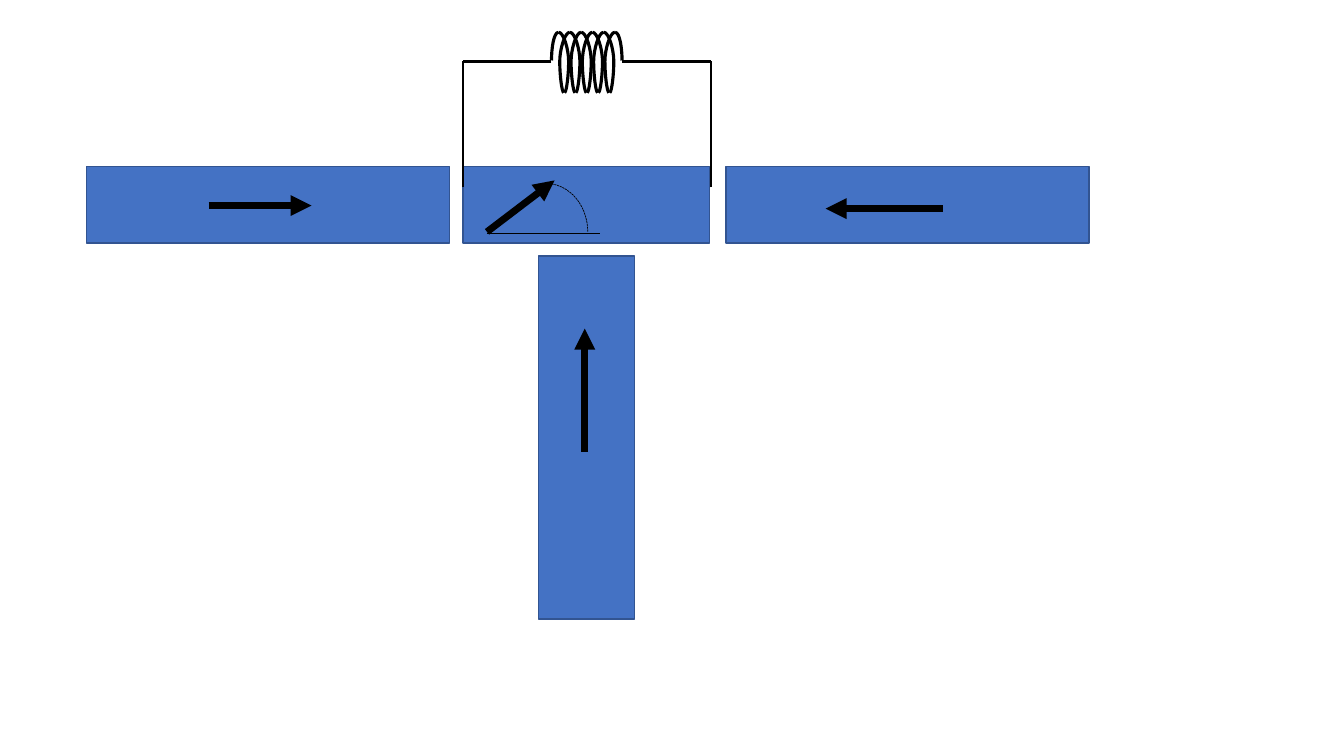
from dataclasses import dataclass

from lxml import etree
from pptx import Presentation
from pptx.dml.color import RGBColor
from pptx.enum.dml import MSO_LINE_DASH_STYLE as Dash
from pptx.enum.shapes import MSO_CONNECTOR as Connector, MSO_SHAPE as Preset
from pptx.oxml.ns import qn
from pptx.util import Inches, Pt


@dataclass(frozen=True)
class Theme:
    bar_fill: RGBColor = RGBColor(0x44, 0x72, 0xC4)
    bar_outline: RGBColor = RGBColor(0x32, 0x54, 0x91)
    ink: RGBColor = RGBColor(0, 0, 0)
    hairline: float = 0.5
    outline: float = 1
    wire: float = 1.5
    coil: float = 2.25
    arrow: float = 5


THEME = Theme()
COIL_LOOPS = 5
STRAND_POINTS = [
    (0, 0), (0.05, 0), (0.1, 0.17), (0.1, 0.29),
    (0.1, 0.42), (0.08, 0.59), (0.06, 0.6),
]
END_POINTS = [(0, 0), (0.05, 0), (0.07, 0.17), (0.07, 0.28)]


def style_line(line, width, color=THEME.ink):
    line.color.rgb = color
    line.width = Pt(width)


def add_line(shapes, start, end, width, arrow=False):
    connector = shapes.add_connector(
        Connector.STRAIGHT, *(Inches(value) for value in (*start, *end))
    )
    style_line(connector.line, width)
    properties = connector._element.spPr
    if arrow:
        outline = properties.find(qn("a:ln"))
        etree.SubElement(outline, qn("a:tailEnd"), type="triangle")
    etree.SubElement(properties, qn("a:effectLst"))


def add_bar(shapes, left, top, width, height, upright=False):
    if upright:
        left, top = left + (width - height) / 2, top + (height - width) / 2
        width, height = height, width
    bar = shapes.add_shape(
        Preset.RECTANGLE, Inches(left), Inches(top), Inches(width), Inches(height)
    )
    bar.rotation = 90 if upright else 0
    bar.shadow.inherit = False
    bar.fill.solid()
    bar.fill.fore_color.rgb = THEME.bar_fill
    style_line(bar.line, THEME.outline, THEME.bar_outline)


def add_arrow_bar(shapes, box, arrow_start, arrow_end, upright=False):
    left, top, width, height = box
    add_bar(shapes, left, top, width, height, upright)
    start, end = ((left + x, top + y) for x, y in (arrow_start, arrow_end))
    add_line(shapes, start, end, THEME.arrow, arrow=True)


def add_angle_bar(shapes, left, top, width, height):
    add_bar(shapes, left, top, width, height)
    vertex_x = left + 0.24
    add_line(shapes, (vertex_x, top + 0.65), (left + 0.91, top + 0.14),
             THEME.arrow, arrow=True)
    add_line(shapes, (vertex_x, top + 0.67), (left + 1.36, top + 0.67),
             THEME.hairline)
    arc = shapes.add_shape(
        Preset.ARC, Inches(left + 0.41), Inches(top + 0.17), Inches(0.83), Inches(0.96)
    )
    arc.shadow.inherit = False
    arc.fill.background()
    style_line(arc.line, THEME.hairline)
    arc.line.dash_style = Dash.SQUARE_DOT


def curve_segments(shape):
    segments = list(shape._element.iter(qn("a:lnTo")))
    for index in range(0, len(segments), 3):
        curve = etree.Element(qn("a:cubicBezTo"))
        segments[index].addprevious(curve)
        for segment in segments[index:index + 3]:
            curve.append(segment[0])
            segment.getparent().remove(segment)


def add_strand(shapes, left, top, points, direction):
    first, *rest = [
        (Inches(left + direction * x), Inches(top + y)) for x, y in points
    ]
    builder = shapes.build_freeform(*first)
    builder.add_line_segments(rest, close=False)
    strand = builder.convert_to_shape()
    curve_segments(strand)
    strand.shadow.inherit = False
    strand.fill.background()
    style_line(strand.line, THEME.coil)


def add_coil(shapes, left, top, width):
    end_width = END_POINTS[-1][0]
    first, last = left + end_width, left + width - end_width
    pitch = (last - first) / COIL_LOOPS
    add_strand(shapes, first, top, END_POINTS, -1)
    for loop in range(COIL_LOOPS):
        crest = first + loop * pitch
        add_strand(shapes, crest, top, STRAND_POINTS, 1)
        add_strand(shapes, crest + pitch, top, STRAND_POINTS, -1)
    add_strand(shapes, last, top, END_POINTS, 1)


def add_circuit(shapes, left, top, width, height):
    coil_left, coil_width = left + 0.88, 0.7
    right, bottom, wire_y = left + width, top + height, top + 0.29
    for x, coil_x in ((left, coil_left), (right, coil_left + coil_width)):
        add_line(shapes, (x, bottom), (x, wire_y), THEME.wire)
        add_line(shapes, (coil_x, wire_y), (x, wire_y), THEME.wire)
    add_coil(shapes, coil_left, top, coil_width)


def build_slide(presentation):
    slide = presentation.slides.add_slide(presentation.slide_layouts[6])
    shapes = slide.shapes.add_group_shape().shapes
    add_arrow_bar(shapes, (0.86, 1.65, 3.6, 0.76), (1.21, 0.39), (2.23, 0.39))
    add_arrow_bar(shapes, (7.2, 1.65, 3.6, 0.76), (2.15, 0.42), (0.99, 0.42))
    add_arrow_bar(shapes, (5.34, 2.54, 0.95, 3.6), (0.46, 1.94), (0.46, 0.72),
                  upright=True)
    add_angle_bar(shapes, 4.59, 1.65, 2.45, 0.76)
    add_circuit(shapes, 4.59, 0.32, 2.46, 1.54)


def main():
    presentation = Presentation()
    presentation.slide_width = Inches(13.33)
    presentation.slide_height = Inches(7.5)
    build_slide(presentation)
    presentation.save("out.pptx")


if __name__ == "__main__":
    main()
